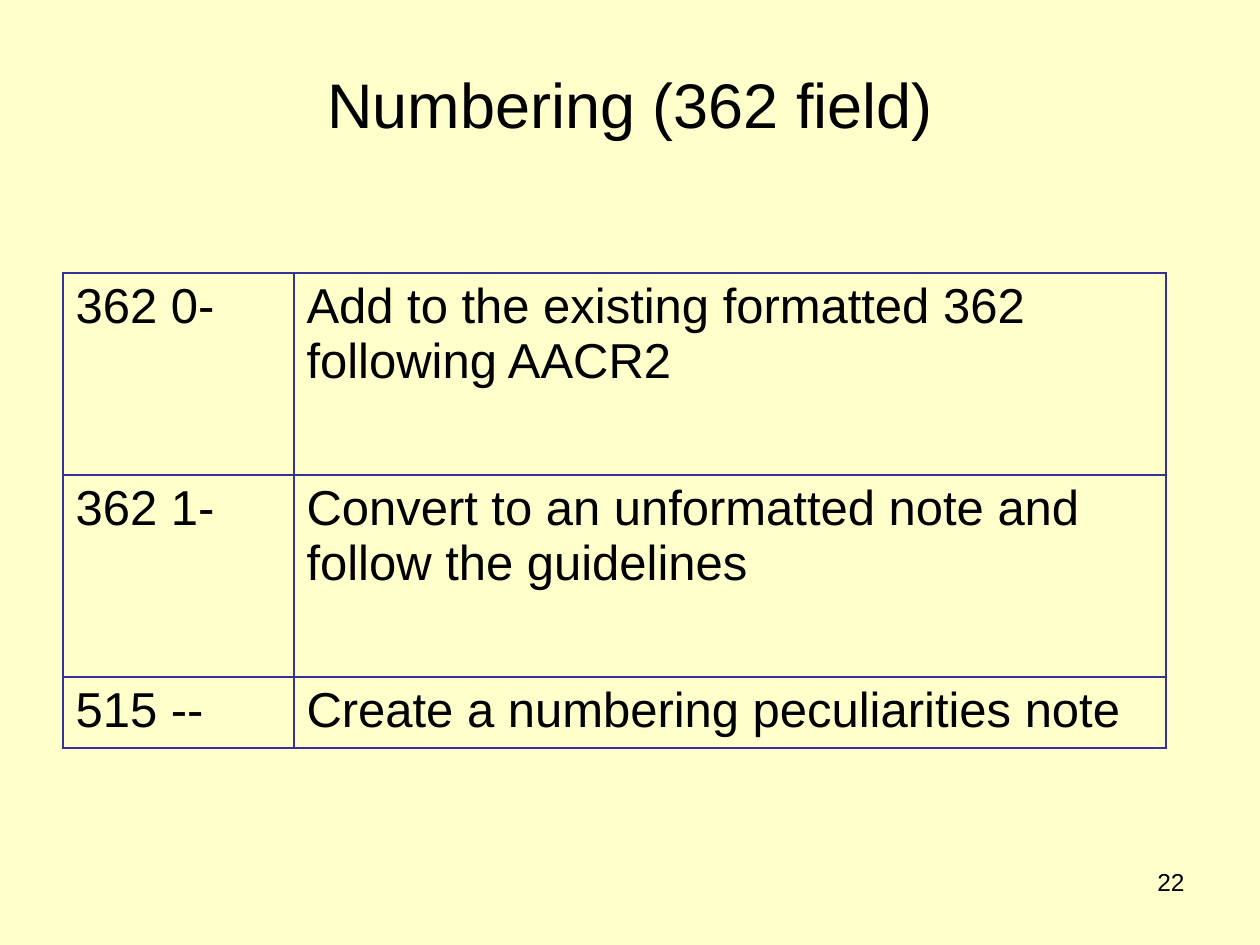
import pptx
import pptx.dml.color
import pptx.enum.text
import pptx.oxml
import pptx.oxml.ns
import pptx.util

PX = 914400 / 126
FONT = "Arial"
BLACK = "000000"
BACKGROUND = "FFFFCC"
BORDER = "333399"

COLUMNS = [231, 872]
ROWS = [
    (202, "362 0-", "Add to the existing formatted 362 following AACR2"),
    (202, "362 1-", "Convert to an unformatted note and follow the guidelines"),
    (71, "515 --", "Create a numbering peculiarities note"),
]


def px(n):
    return pptx.util.Emu(round(n * PX))


def rgb(value):
    return pptx.dml.color.RGBColor.from_string(value)


def set_text(tf, text, size, color=BLACK, align="LEFT"):
    tf.word_wrap = True
    p = tf.paragraphs[0]
    p.alignment = getattr(pptx.enum.text.PP_ALIGN, align)
    p.space_before = pptx.util.Pt(0)
    r = p.add_run()
    r.text = text
    r.font.name = FONT
    r.font.size = pptx.util.Pt(size)
    r.font.color.rgb = rgb(color)


def set_borders(cell, color, width):
    tc_pr = cell._tc.get_or_add_tcPr()
    for i, side in enumerate(("lnL", "lnR", "lnT", "lnB")):
        ln = pptx.oxml.parse_xml(
            f'<a:{side} {pptx.oxml.ns.nsdecls("a")} w="{pptx.util.Pt(width)}">'
            f'<a:solidFill><a:srgbClr val="{color}"/></a:solidFill></a:{side}>'
        )
        tc_pr.insert(i, ln)


def add_title(s, text):
    title = s.shapes.title
    title.left, title.top, title.width, title.height = map(px, (63, 38, 1134, 130))
    title.text_frame.vertical_anchor = pptx.enum.text.MSO_ANCHOR.MIDDLE
    set_text(title.text_frame, text, 36, align="CENTER")


def add_field_table(s):
    heights = [row[0] for row in ROWS]
    frame = s.shapes.add_table(len(ROWS), len(COLUMNS), px(63), px(273),
                               px(sum(COLUMNS)), px(sum(heights)))
    table = frame.table
    table.first_row = table.horz_banding = False
    for column, width in zip(table.columns, COLUMNS):
        column.width = px(width)
    for row, (height, *texts) in zip(table.rows, ROWS):
        row.height = px(height)
        for cell, text in zip(row.cells, texts):
            cell.fill.background()
            set_borders(cell, BORDER, 0.75)
            set_text(cell.text_frame, text, 28)


def add_page_number(s, number):
    box = s.shapes.add_textbox(px(903), px(861), px(294), px(66))
    set_text(box.text_frame, number, 14, align="RIGHT")


def main():
    prs = pptx.Presentation()
    prs.slide_width, prs.slide_height = px(1260), px(945)
    s = prs.slides.add_slide(prs.slide_layouts[5])
    s.background.fill.solid()
    s.background.fill.fore_color.rgb = rgb(BACKGROUND)
    add_title(s, "Numbering (362 field)")
    add_field_table(s)
    add_page_number(s, "22")
    prs.save("out.pptx")


if __name__ == "__main__":
    main()
